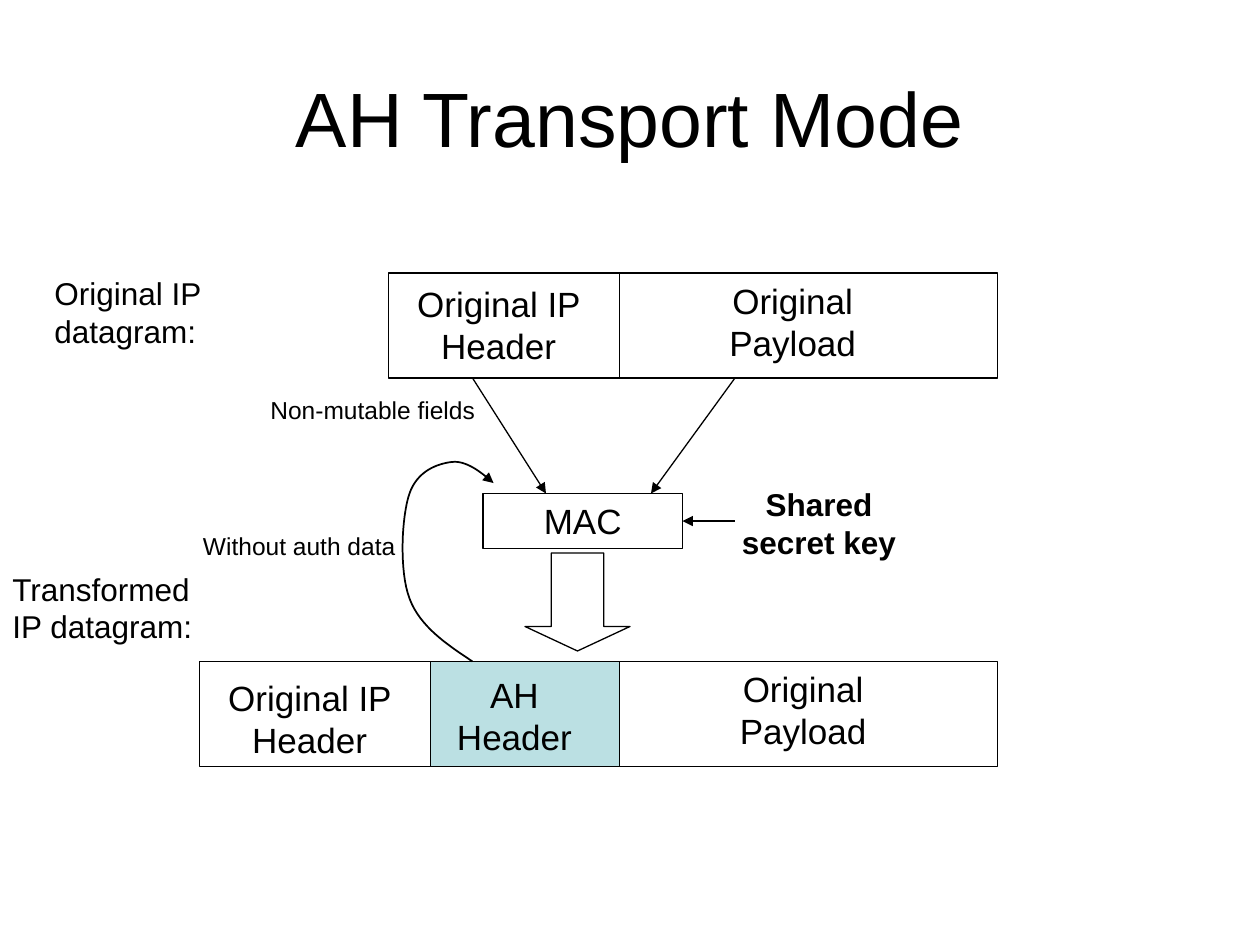
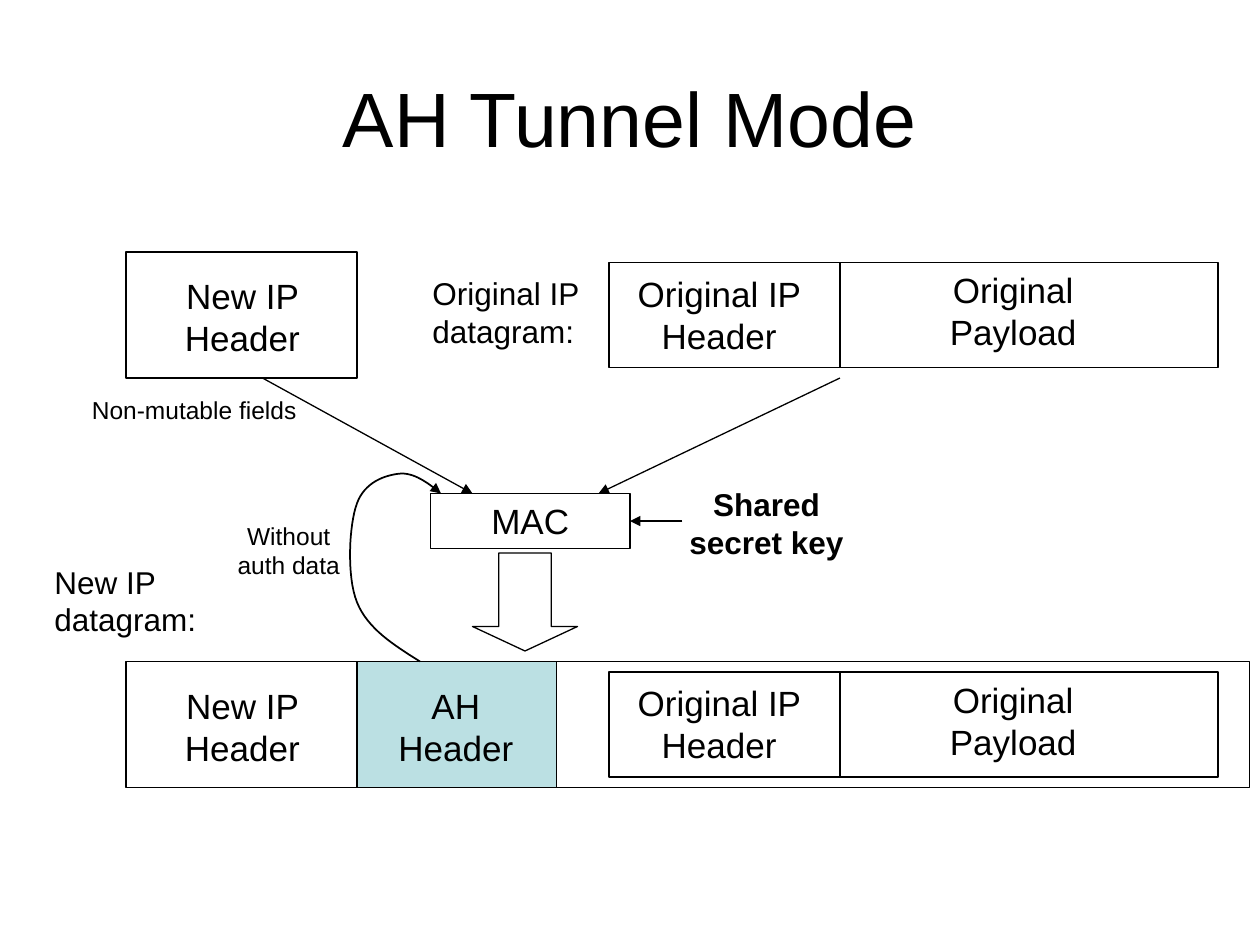
from lxml import etree
from pptx import Presentation
from pptx.dml.color import RGBColor
from pptx.enum.shapes import MSO_CONNECTOR, MSO_SHAPE
from pptx.enum.text import MSO_ANCHOR, PP_ALIGN
from pptx.oxml.ns import qn
from pptx.util import Pt

STRAIGHT = MSO_CONNECTOR.STRAIGHT
RECTANGLE, DOWN_ARROW = MSO_SHAPE.RECTANGLE, MSO_SHAPE.DOWN_ARROW
TOP, MIDDLE = MSO_ANCHOR.TOP, MSO_ANCHOR.MIDDLE
LEFT, CENTER = PP_ALIGN.LEFT, PP_ALIGN.CENTER

COLORS = {"ink": "000000", "ah": "BBE0E3"}
FONT = "Arial"
HEADER_WIDTH, PAYLOAD_WIDTH, DATAGRAM_HEIGHT = 132, 216, 60
MAC_TOP, ROW_TOP = 282, 378
LOOP_CURVES = [
    [(0, 0), (-15, -10), (-30, -20), (-36, -36)],
    [(-36, -36), (-42, -52), (-40.5, -83), (-36, -96)],
    [(-36, -96), (-31.5, -109), (-20, -113), (-12, -114)],
    [(-12, -114), (-4, -115), (4, -109), (12, -102)],
]
LOOP_RISE = 102
CURVE_STEPS = 16


def color(name):
    return RGBColor.from_string(COLORS[name])


def style_text(shape, text, size, align=CENTER, bold=False, anchor=TOP):
    frame = shape.text_frame
    frame.word_wrap = True
    frame.vertical_anchor = anchor
    frame.text = text
    para = frame.paragraphs[0]
    para.alignment = align
    font = para.runs[0].font
    font.name, font.size, font.bold = FONT, Pt(size), bold
    font.color.rgb = color("ink")


def add_text(page, left, top, width, height, text, size, **style):
    box = page.shapes.add_textbox(Pt(left), Pt(top), Pt(width), Pt(height))
    style_text(box, text, size, **style)


def add_outline(page, left, top, width, height, fill=None, kind=RECTANGLE, weight=0.75):
    shape = page.shapes.add_shape(kind, Pt(left), Pt(top), Pt(width), Pt(height))
    finish_outline(shape, fill, weight)
    return shape


def finish_outline(shape, fill, weight):
    shape.shadow.inherit = False
    if fill:
        shape.fill.solid()
        shape.fill.fore_color.rgb = color(fill)
    else:
        shape.fill.background()
    shape.line.color.rgb = color("ink")
    shape.line.width = Pt(weight)


def add_arrowhead(shape):
    line = shape.line._get_or_add_ln()
    etree.SubElement(line, qn("a:tailEnd"), type="triangle")


def add_line(page, start, end, arrow=False):
    line = page.shapes.add_connector(STRAIGHT, *map(Pt, start + end))
    line.line.color.rgb = color("ink")
    line.line.width = Pt(0.75)
    etree.SubElement(line._element.spPr, qn("a:effectLst"))
    if arrow:
        add_arrowhead(line)
    return line


def add_title(page, text):
    add_text(page, 36, 21.6, 648, 90, text, 44, anchor=MIDDLE)


def add_label(page, left, top, text):
    add_text(page, left, top, 126, 50, text, 18, align=LEFT)


def add_note(page, left, top, width, text):
    add_text(page, left, top, width, 25, text, 14)


def add_field(page, box, text, shift, text_width):
    left, top = box[:2]
    add_text(page, left + shift[0], top + shift[1], text_width, 55, text, 20)


def add_datagram(page, left, top):
    box = (left, top, HEADER_WIDTH + PAYLOAD_WIDTH, DATAGRAM_HEIGHT)
    add_outline(page, *box)
    divider = left + HEADER_WIDTH
    add_line(page, (divider, top), (divider, top + DATAGRAM_HEIGHT))
    add_field(page, box, "Original IP Header", (-6, 2), 138)
    add_field(page, box, "Original Payload", (162, 0), 138)


def add_new_header(page, left, top):
    box = (left, top, HEADER_WIDTH, 72)
    add_outline(page, *box)
    add_field(page, box, "New IP Header", (3.5, 9.5), 126)


def add_ah_header(page, left, width, height, shift):
    box = (left, ROW_TOP, width, height)
    add_outline(page, *box, fill="ah")
    add_field(page, box, "AH Header", shift, 108)


def add_mac(page, left, inputs):
    mac = add_outline(page, left, MAC_TOP, 114, 31.5, weight=1)
    style_text(mac, "MAC", 20)
    add_text(page, left + 138, MAC_TOP - 8.4, 108, 50, "Shared secret key", 18, bold=True)
    middle = MAC_TOP + 15.75
    key_arrow = add_line(page, (left + 144, middle), (left + 114, middle), arrow=True)
    key_arrow.end_connect(mac, 3)
    add_outline(page, left + 24, MAC_TOP + 34, 60, 56, kind=DOWN_ARROW).adjustments[1] = 0.25
    for source, target in inputs:
        add_line(page, (source, 216), (target, MAC_TOP), arrow=True)


def curve_point(curve, t):
    weights = ((1 - t) ** 3, 3 * t * (1 - t) ** 2, 3 * t * t * (1 - t), t ** 3)
    return tuple(sum(w * point[axis] for w, point in zip(weights, curve)) for axis in (0, 1))


def add_auth_loop(page, left, rise):
    points = [(Pt(left + x), Pt(ROW_TOP + y * rise / LOOP_RISE))
              for curve in LOOP_CURVES
              for x, y in (curve_point(curve, step / CURVE_STEPS)
                           for step in range(1, CURVE_STEPS + 1))]
    builder = page.shapes.build_freeform(Pt(left), Pt(ROW_TOP))
    builder.add_line_segments(points, close=False)
    loop = builder.convert_to_shape()
    finish_outline(loop, None, 1)
    add_arrowhead(loop)


def build_transport_mode(page):
    add_title(page, "AH Transport Mode")
    add_label(page, 24, 153, "Original IP datagram:")
    add_datagram(page, 222, 156)
    add_note(page, 132, 222, 162, "Non-mutable fields")
    add_mac(page, 276, [(270, 312), (420, 372)])
    add_note(page, 90, 300, 162, "Without auth data")
    add_label(page, 0, 322, "Transformed IP datagram:")
    header = (114, ROW_TOP, HEADER_WIDTH, DATAGRAM_HEIGHT)
    add_outline(page, *header)
    add_field(page, header, "Original IP Header", (-6, 5), 138)
    add_ah_header(page, 246, 108, DATAGRAM_HEIGHT, (-6, 3.6))
    payload = (354, ROW_TOP, PAYLOAD_WIDTH, DATAGRAM_HEIGHT)
    add_outline(page, *payload)
    add_field(page, payload, "Original Payload", (36, 0), 138)
    add_auth_loop(page, 270, 102)


def build_tunnel_mode(page):
    add_title(page, "AH Tunnel Mode")
    add_new_header(page, 72, 144)
    add_label(page, 240, 153, "Original IP datagram:")
    add_datagram(page, 348, 150)
    add_note(page, 30, 222, 162, "Non-mutable fields")
    add_mac(page, 246, [(150, 270), (480, 342)])
    add_note(page, 120, 294, 90, "Without auth data")
    add_label(page, 24, 318, "New IP datagram:")
    add_new_header(page, 72, ROW_TOP)
    add_ah_header(page, 204, 114, 72, (2.5, 9.5))
    add_outline(page, 318, ROW_TOP, 396, 72)
    add_datagram(page, 348, 384)
    add_auth_loop(page, 240, 96)


def main():
    deck = Presentation()
    deck.slide_width, deck.slide_height = Pt(720), Pt(540)
    for build in (build_transport_mode, build_tunnel_mode):
        build(deck.slides.add_slide(deck.slide_layouts[6]))
    deck.save("out.pptx")


if __name__ == "__main__":
    main()
